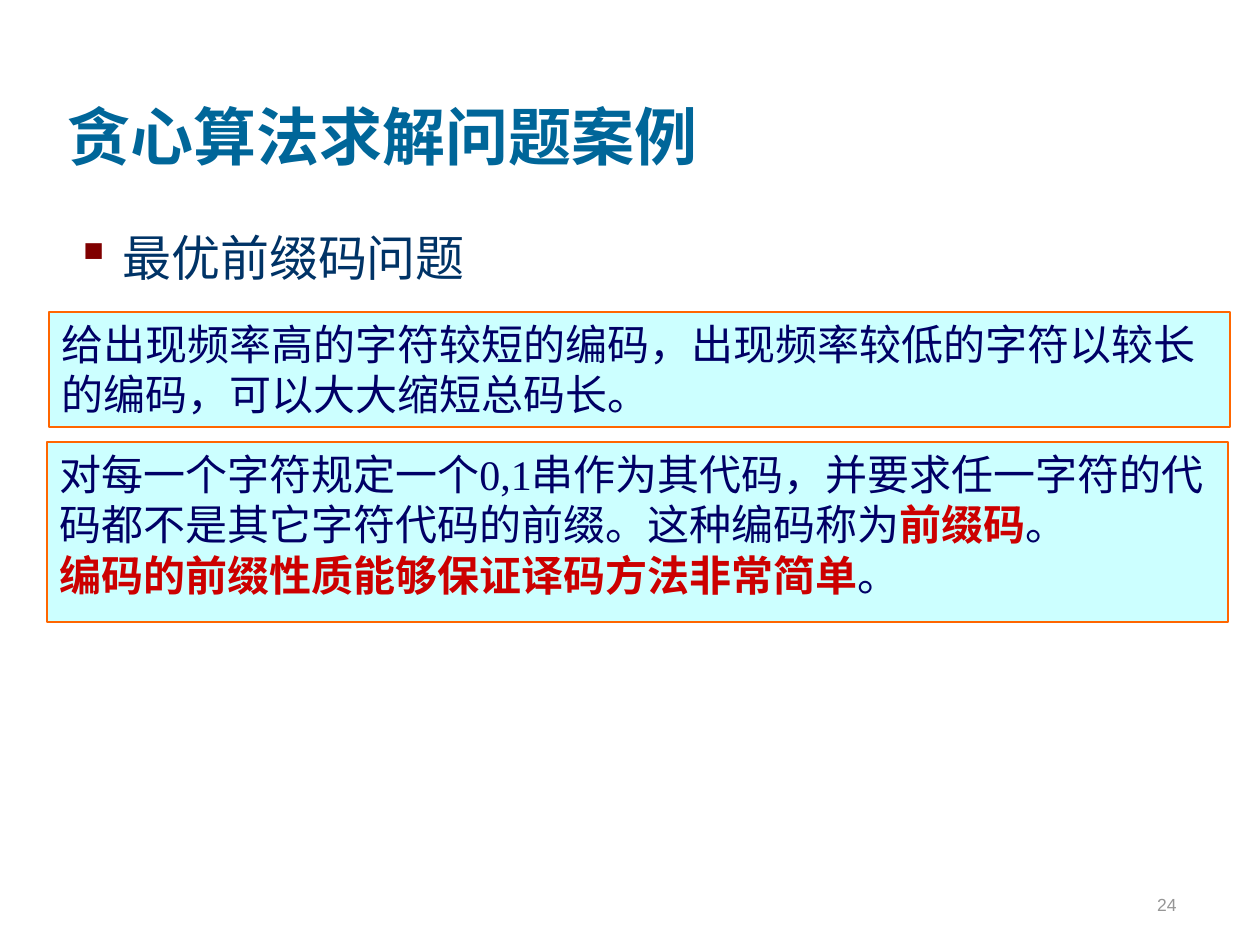
"""Build the slide on the optimal prefix code problem."""
from dataclasses import dataclass

from lxml.etree import SubElement
from pptx import Presentation
from pptx.dml.color import RGBColor
from pptx.enum.shapes import MSO_SHAPE
from pptx.enum.text import MSO_ANCHOR, PP_ALIGN
from pptx.oxml.ns import qn
from pptx.util import Pt

EMU_PER_PX = 914400 / 126
SERIF = "Times New Roman"
NAVY = "000066"
RED = "CC0000"


@dataclass(frozen=True)
class Span:
    text: str
    strong: bool = False


@dataclass(frozen=True)
class Label:
    text: str
    area: tuple[int, int, int, int]
    size: int
    color: str
    font: str = SERIF
    bold: bool = False
    anchor: MSO_ANCHOR = MSO_ANCHOR.TOP
    align: PP_ALIGN = PP_ALIGN.LEFT
    bullet: str = ""


@dataclass(frozen=True)
class Panel:
    area: tuple[int, int, int, int]
    paragraphs: list[list[Span]]


LABELS = [
    Label("贪心算法求解问题案例", (55, 21, 1071, 158), 36, "006699",
          bold=True, anchor=MSO_ANCHOR.BOTTOM),
    Label("最优前缀码问题", (63, 221, 1126, 615), 28, "003366", bullet="▪"),
    Label("24", (927, 858, 262, 63), 10, "969696", font="Arial",
          anchor=MSO_ANCHOR.BOTTOM, align=PP_ALIGN.RIGHT),
]

PANELS = [
    Panel((49, 312, 1181, 115), [
        [Span("给出现频率高的字符较短的编码，出现频率较低的字符以较长的编码，可以大大缩短总码长。")],
    ]),
    Panel((47, 442, 1181, 180), [
        [Span("对每一个字符规定一个0,1串作为其代码，并要求任一字符的代码都不是其它字符代码的前缀。这种编码称为"),
         Span("前缀码", strong=True), Span("。")],
        [Span("编码的前缀性质能够保证译码方法非常简单", strong=True), Span("。")],
    ]),
]


def px(length: int) -> int:
    return round(length * EMU_PER_PX)


def rgb(color: str) -> RGBColor:
    return RGBColor.from_string(color)


def add_bullet(para, symbol: str, color: str, indent: int) -> None:
    properties = para._p.get_or_add_pPr()
    properties.set("marL", str(px(indent)))
    properties.set("indent", str(-px(indent)))
    bullet_color = SubElement(properties, qn("a:buClr"))
    SubElement(bullet_color, qn("a:srgbClr"), val=color)
    SubElement(properties, qn("a:buChar"), char=symbol)


def draw_label(page, label: Label) -> None:
    box = page.shapes.add_textbox(*map(px, label.area))
    frame = box.text_frame
    frame.word_wrap = True
    frame.vertical_anchor = label.anchor
    para = frame.paragraphs[0]
    para.text = label.text
    para.alignment = label.align
    if label.bullet:
        add_bullet(para, label.bullet, "800000", 47)
    para.font.name = label.font
    para.font.size = Pt(label.size)
    para.font.bold = label.bold
    para.font.color.rgb = rgb(label.color)


def draw_panel(page, panel: Panel) -> None:
    box = page.shapes.add_shape(MSO_SHAPE.RECTANGLE, *map(px, panel.area))
    box.shadow.inherit = False
    box.fill.solid()
    box.fill.fore_color.rgb = rgb("CCFFFF")
    box.line.color.rgb = rgb("FF6600")
    box.line.width = Pt(1)
    frame = box.text_frame
    frame.word_wrap = True
    frame.vertical_anchor = MSO_ANCHOR.TOP
    for index, spans in enumerate(panel.paragraphs):
        para = frame.add_paragraph() if index else frame.paragraphs[0]
        para.alignment = PP_ALIGN.LEFT
        para.font.name = SERIF
        para.font.size = Pt(24)
        for span in spans:
            run = para.add_run()
            run.text = span.text
            run.font.bold = span.strong
            run.font.color.rgb = rgb(RED if span.strong else NAVY)


def main() -> None:
    deck = Presentation()
    deck.slide_width = px(1260)
    deck.slide_height = px(945)
    page = deck.slides.add_slide(deck.slide_layouts[6])
    for label in LABELS:
        draw_label(page, label)
    for panel in PANELS:
        draw_panel(page, panel)
    deck.save("out.pptx")


if __name__ == "__main__":
    main()
